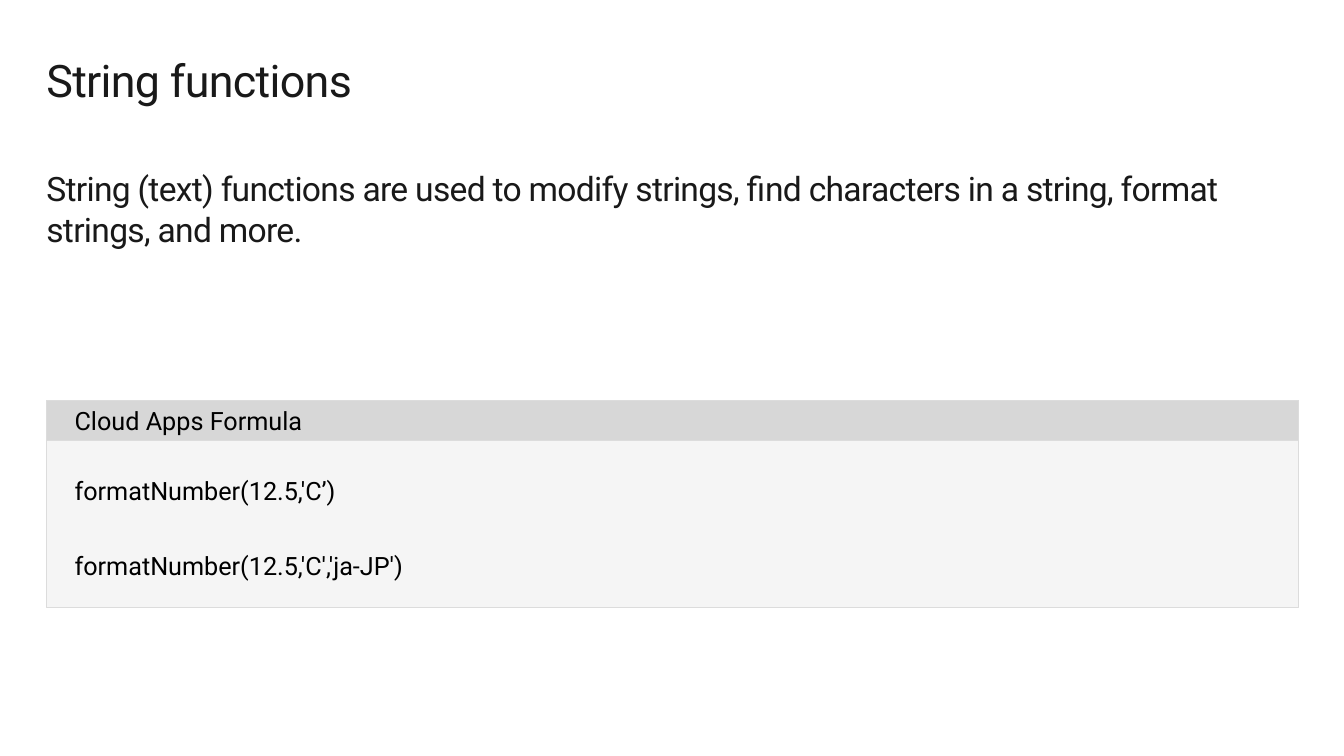
from pptx import Presentation, util as u
from pptx.dml import color
from pptx.enum import shapes, text

WIDTH, HEIGHT = 13.33, 7.5
LEFT, CONTENT_WIDTH = 0.46, 12.42
FONT = "Roboto"
INK, BLACK, BORDER = "191919", "000000", "DCDCDC"
HEADER_FILL, CODE_FILL = "D7D7D7", "F5F5F5"
PLAIN_INSETS = (0, 0.1, 0.16, 0.1)


def rgb(value):
    """Turn a hex string into a colour."""
    return color.RGBColor.from_string(value)


def row(top, height):
    """Return the box of a full-width content row."""
    return [u.Inches(length) for length in (LEFT, top, CONTENT_WIDTH, height)]


def write(shape, lines, size, ink, insets, anchor, spacing=1.0, gap=0, tracking=0):
    """Fill a shape with left-aligned paragraphs."""
    frame = shape.text_frame
    frame.word_wrap = True
    frame.auto_size = text.MSO_AUTO_SIZE.NONE
    frame.vertical_anchor = anchor
    frame.margin_left, frame.margin_top, frame.margin_right, frame.margin_bottom = map(u.Inches, insets)
    frame.text = "\n".join(lines)
    for index, paragraph in enumerate(frame.paragraphs):
        paragraph.alignment = text.PP_ALIGN.LEFT
        paragraph.line_spacing = spacing
        paragraph.space_before = u.Pt(gap if index else 0)
        paragraph.font.name = FONT
        paragraph.font.size = u.Pt(size)
        paragraph.font.color.rgb = rgb(ink)
        if tracking:
            for run in paragraph.runs:
                run._r.get_or_add_rPr().set("spc", str(round(tracking * 100)))


def add_title(slide, wording):
    """Place and format the slide title."""
    title = slide.shapes.title
    title.left, title.top, title.width, title.height = row(0.48, 0.6)
    write(title, [wording], 32, INK, PLAIN_INSETS, text.MSO_ANCHOR.TOP, spacing=0.9, tracking=-0.5)


def add_body(slide, wording):
    """Add the introductory text."""
    body = slide.shapes.add_textbox(*row(1.57, 1.01))
    write(body, [wording], 24, INK, PLAIN_INSETS, text.MSO_ANCHOR.TOP, tracking=-0.5)


def add_panel(slide, top, height, fill, lines, insets, **layout):
    """Add a bordered rectangle with text."""
    panel = slide.shapes.add_shape(shapes.MSO_SHAPE.RECTANGLE, *row(top, height))
    panel.shadow.inherit = False
    panel.fill.solid()
    panel.fill.fore_color.rgb = rgb(fill)
    panel.line.color.rgb = rgb(BORDER)
    panel.line.width = u.Pt(0.85)
    write(panel, lines, 18, BLACK, insets, text.MSO_ANCHOR.MIDDLE, **layout)


def main():
    """Build the slide and save it."""
    presentation = Presentation()
    presentation.slide_width = u.Inches(WIDTH)
    presentation.slide_height = u.Inches(HEIGHT)
    slide = presentation.slides.add_slide(presentation.slide_layouts.get_by_name("Title Only"))
    add_title(slide, "String functions")
    add_body(slide, "String (text) functions are used to modify strings, find characters "
                    "in a string, format strings, and more.")
    add_panel(slide, 4.37, 1.66, CODE_FILL,
              ["formatNumber(12.5,'C’)", "formatNumber(12.5,'C','ja-JP')"],
              (0.28, 0.28, 0.28, 0.28), spacing=1.25, gap=27)
    add_panel(slide, 3.97, 0.4, HEADER_FILL, ["Cloud Apps Formula"], (0.28, 0.05, 0.1, 0.05))
    presentation.save("out.pptx")


if __name__ == "__main__":
    main()
